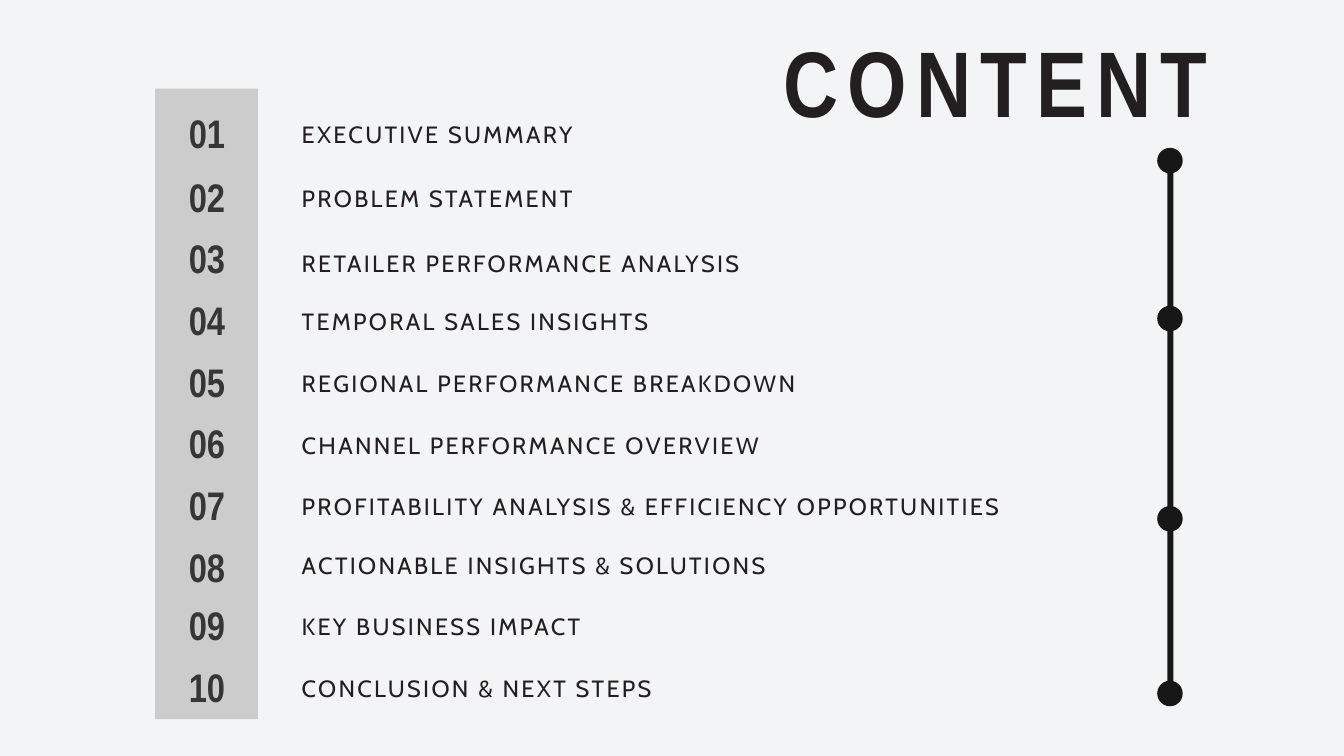
"""Build the CONTENT agenda slide with ten numbered sections and a timeline."""
from dataclasses import dataclass

from pptx import Presentation
from pptx.dml.color import RGBColor
from pptx.enum.shapes import MSO_SHAPE
from pptx.enum.text import MSO_ANCHOR, MSO_AUTO_SIZE, PP_ALIGN
from pptx.shapes.autoshape import Shape
from pptx.slide import Slide
from pptx.util import Emu, Pt

RECT, OVAL = MSO_SHAPE.RECTANGLE, MSO_SHAPE.OVAL
LEFT, CENTER = PP_ALIGN.LEFT, PP_ALIGN.CENTER
TOP = MSO_ANCHOR.TOP
GROW = MSO_AUTO_SIZE.SHAPE_TO_FIT_TEXT
TITLE_ONLY = 5

EMU_PER_PX = 9144
COLORS = {
    "background": "F2F4F5",
    "band": "CCCCCC",
    "text": "231F20",
    "number": "363636",
    "timeline": "171717",
}


@dataclass(frozen=True)
class Box:
    x: int
    y: int
    w: int
    h: int


@dataclass(frozen=True)
class Style:
    font: str
    size: float
    leading: float
    color: str
    bold: bool = False
    spacing: int = 0
    align: PP_ALIGN = CENTER


@dataclass(frozen=True)
class Section:
    name: str
    number_y: int
    label_y: int
    label_w: int


TITLE = Style("Arial Narrow", 99.8, 137.7, "text", bold=True, spacing=980)
NUMBER = Style("Arial Narrow", 42.7, 51.3, "number", bold=True)
LABEL = Style("Cabin", 25.2, 34.8, "text", spacing=250, align=LEFT)

SECTIONS = [
    Section("EXECUTIVE SUMMARY", 161, 172, 633),
    Section("PROBLEM STATEMENT", 257, 268, 665),
    Section("RETAILER PERFORMANCE ANALYSIS", 348, 364, 720),
    Section("TEMPORAL SALES INSIGHTS", 440, 451, 665),
    Section("REGIONAL PERFORMANCE BREAKDOWN", 532, 543, 764),
    Section("CHANNEL PERFORMANCE OVERVIEW", 623, 635, 720),
    Section("PROFITABILITY ANALYSIS & EFFICIENCY OPPORTUNITIES", 715, 726, 1110),
    Section("ACTIONABLE INSIGHTS & SOLUTIONS", 807, 814, 844),
    Section("KEY BUSINESS IMPACT", 894, 905, 665),
    Section("CONCLUSION & NEXT STEPS", 986, 997, 665),
]
DOT_CENTERS = [239, 474, 772, 1032]
DOT_SIZE = 38
TIMELINE_X = 1741


def px(n: int) -> Emu:
    """Convert px to EMU."""
    return Emu(n * EMU_PER_PX)


def rgb(name: str) -> RGBColor:
    """Look up a named colour."""
    return RGBColor.from_string(COLORS[name])


def place(sp: Shape, box: Box) -> None:
    """Set the position and size of a shape."""
    sp.left, sp.top, sp.width, sp.height = px(box.x), px(box.y), px(box.w), px(box.h)


def write(sp: Shape, text: str, style: Style) -> None:
    """Fill a shape with one styled paragraph."""
    tf = sp.text_frame
    tf.margin_left = tf.margin_right = tf.margin_top = tf.margin_bottom = 0
    tf.word_wrap = True
    tf.auto_size = GROW
    tf.vertical_anchor = TOP
    p = tf.paragraphs[0]
    p.alignment = style.align
    p.line_spacing = Pt(style.leading)
    p.font.name = style.font
    p.font.size = Pt(style.size)
    p.font.bold = style.bold
    p.font.color.rgb = rgb(style.color)
    r = p.add_run()
    r.text = text
    if style.spacing:
        r.font._element.set("spc", str(style.spacing))


def add_text(s: Slide, box: Box, text: str, style: Style) -> None:
    """Add a styled text box."""
    sp = s.shapes.add_textbox(0, 0, 0, 0)
    place(sp, box)
    write(sp, text, style)


def add_block(s: Slide, kind: MSO_SHAPE, box: Box, color: str) -> None:
    """Add a flat filled shape without outline."""
    sp = s.shapes.add_shape(kind, px(box.x), px(box.y), px(box.w), px(box.h))
    sp.shadow.inherit = False
    sp.fill.solid()
    sp.fill.fore_color.rgb = rgb(color)
    sp.line.fill.background()


def main() -> None:
    """Create and save the presentation."""
    prs = Presentation()
    prs.slide_width, prs.slide_height = px(2000), px(1125)
    s = prs.slides.add_slide(prs.slide_layouts[TITLE_ONLY])
    s.background.fill.solid()
    s.background.fill.fore_color.rgb = rgb("background")

    place(s.shapes.title, Box(1076, 11, 811, 184))
    write(s.shapes.title, "CONTENT", TITLE)

    add_block(s, RECT, Box(231, 132, 153, 938), "band")
    for i, section in enumerate(SECTIONS, start=1):
        add_text(s, Box(257, section.number_y, 102, 72), f"{i:02d}", NUMBER)
        add_text(s, Box(449, section.label_y, section.label_w, 46), section.name, LABEL)

    add_block(s, RECT, Box(TIMELINE_X - 4, 238, 9, 801), "timeline")
    for y in DOT_CENTERS:
        dot = Box(TIMELINE_X - DOT_SIZE // 2, y - DOT_SIZE // 2, DOT_SIZE, DOT_SIZE)
        add_block(s, OVAL, dot, "timeline")

    prs.save("out.pptx")


if __name__ == "__main__":
    main()
